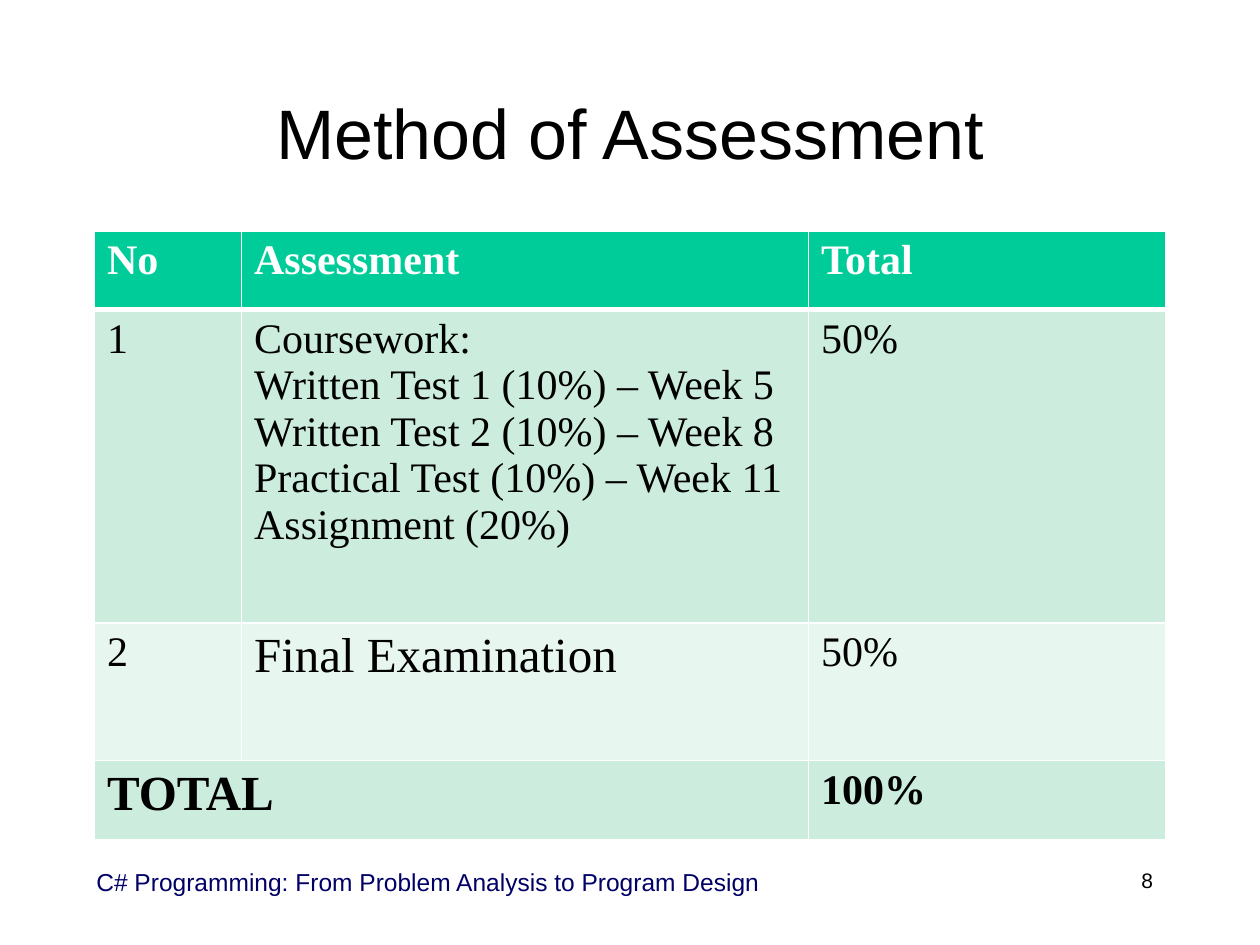
from pptx import Presentation
from pptx.dml.color import RGBColor
from pptx.enum.text import MSO_ANCHOR as Anchor, PP_ALIGN as Align
from pptx.oxml import parse_xml
from pptx.oxml.ns import nsdecls
from pptx.util import Pt


def color(hex_string):
    """Turn a hex string into a colour."""
    return RGBColor.from_string(hex_string)


class SlideBuilder:
    """Hold the style and the current slide, and add elements to it."""

    sans, serif = "Arial", "Times New Roman"
    black, white, navy = "000000", "FFFFFF", "000066"
    header_fill, band_fills = "00CC99", ("CCECDE", "E7F6EF")

    def __init__(self, presentation):
        """Start a title-only slide."""
        self.slide = presentation.slides.add_slide(presentation.slide_layouts[5])

    def add_lines(self, frame, lines, size, font, ink, bold=False, align=Align.LEFT):
        """Fill a text frame with one paragraph per line."""
        frame.word_wrap = True
        for index, line in enumerate(lines):
            paragraph = frame.add_paragraph() if index else frame.paragraphs[0]
            paragraph.alignment = align
            run = paragraph.add_run()
            run.text = line
            run.font.size = Pt(size)
            run.font.name = font
            run.font.bold = bold
            run.font.color.rgb = color(ink)

    def place(self, shape, left, top, width, height):
        """Position and size a shape."""
        shape.left, shape.top = Pt(left), Pt(top)
        shape.width, shape.height = Pt(width), Pt(height)

    def title(self, text, box):
        """Fill the title placeholder."""
        shape = self.slide.shapes.title
        self.place(shape, *box)
        shape.text_frame.vertical_anchor = Anchor.MIDDLE
        self.add_lines(shape.text_frame, [text], 40, self.sans, self.black, align=Align.CENTER)

    def text(self, text, box, size, ink, align=Align.LEFT):
        """Add a single-line text box."""
        shape = self.slide.shapes.add_textbox(*map(Pt, box))
        self.add_lines(shape.text_frame, [text], size, self.sans, ink, align=align)

    def borders(self, cell, bottom):
        """Draw white borders around a cell."""
        properties = cell._tc.get_or_add_tcPr()
        widths = {"lnL": 1, "lnR": 1, "lnT": 1, "lnB": bottom}
        for position, (tag, width) in enumerate(widths.items()):
            properties.insert(position, parse_xml(
                f'<a:{tag} {nsdecls("a")} w="{Pt(width)}"><a:solidFill>'
                f'<a:srgbClr val="{self.white}"/></a:solidFill></a:{tag}>'))

    def table(self, rows, box, widths, heights):
        """Add a banded table whose last row spans its first two columns."""
        shape = self.slide.shapes.add_table(len(rows), len(widths), *map(Pt, box))
        table = shape.table
        for column, width in zip(table.columns, widths):
            column.width = Pt(width)
        last = len(rows) - 1
        for number, (row, height) in enumerate(zip(rows, heights)):
            table.rows[number].height = Pt(height)
            header = number == 0
            fill = self.header_fill if header else self.band_fills[(number - 1) % 2]
            for cell, (lines, size) in zip(table.rows[number].cells, row):
                cell.fill.solid()
                cell.fill.fore_color.rgb = color(fill)
                self.borders(cell, 3 if header else 1)
                self.add_lines(cell.text_frame, lines, size, self.serif,
                               self.white if header else self.black, number in (0, last))
        table.cell(last, 0).merge(table.cell(last, 1))


presentation = Presentation()
presentation.slide_width, presentation.slide_height = Pt(720), Pt(540)
builder = SlideBuilder(presentation)
builder.title("Method of Assessment", (54, 30, 612, 90))
coursework = [
    "Coursework:",
    "Written Test 1 (10%) – Week 5",
    "Written Test 2 (10%) – Week 8",
    "Practical Test (10%) – Week 11",
    "Assignment (20%)",
]
assessment_rows = [
    [(["No"], 24), (["Assessment"], 24), (["Total"], 24)],
    [(["1"], 24), (coursework, 24), (["50%"], 24)],
    [(["2"], 24), (["Final Examination"], 28), (["50%"], 24)],
    [(["TOTAL"], 28), ([], 28), (["100%"], 24)],
]
builder.table(assessment_rows, (54, 132, 612, 348), (84, 324, 204), (45, 179, 78.5, 45.5))
builder.text("C# Programming: From Problem Analysis to Program Design",
             (48, 492, 426, 36), 14, builder.navy)
builder.text("8", (516, 492, 150, 36), 12, builder.black, Align.RIGHT)
presentation.save("out.pptx")
